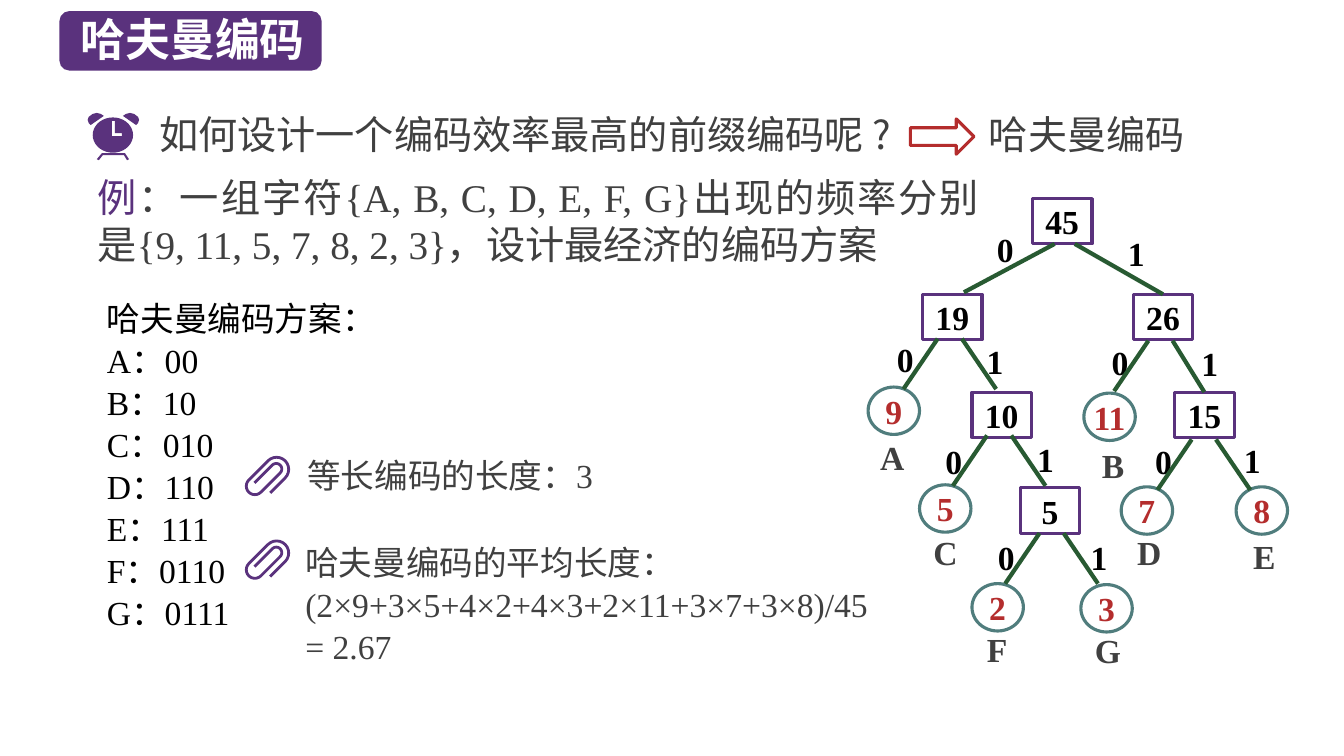
import math
from dataclasses import dataclass

import lxml.etree
import pptx
import pptx.dml.color
import pptx.enum.shapes
import pptx.enum.text
import pptx.oxml.ns
import pptx.util
from pptx.util import Inches

RGBColor = pptx.dml.color.RGBColor
PURPLE = RGBColor(0x5A, 0x32, 0x7D)
RED = RGBColor(0xB4, 0x2D, 0x2D)
TEAL = RGBColor(0x50, 0x7D, 0x7D)
GREEN = RGBColor(0x28, 0x5A, 0x32)
GREY = RGBColor(0x40, 0x40, 0x40)
BLACK = RGBColor(0, 0, 0)
WHITE = RGBColor(0xFF, 0xFF, 0xFF)
SANS, SERIF = "Noto Sans CJK SC", "Times New Roman"
Shapes = pptx.enum.shapes.MSO_SHAPE
Align = pptx.enum.text.PP_ALIGN
Anchor = pptx.enum.text.MSO_ANCHOR
qn = pptx.oxml.ns.qn
Point = tuple[float, float]


@dataclass
class Branch:
    """An inner node; fork is where its 0 edge starts, relative to the box."""
    weight: str
    at: Point
    fork: Point
    zero_at: Point
    one_at: Point
    gap: float = 0.24
    reach: Point = (0.34, 0.5)
    joined_child: str = ""


@dataclass
class Leaf:
    symbol: str
    weight: str
    at: Point
    symbol_at: Point


BRANCHES = [
    Branch("45", (10.24, 1.97), (0.22, 0.45), (9.7, 2.19), (11, 2.23), 0.2, (0.9, 0.48), "26"),
    Branch("19", (9.15, 2.92), (0.15, 0.44), (8.71, 3.28), (9.6, 3.3)),
    Branch("26", (11.24, 2.92), (0.15, 0.46), (10.84, 3.31), (11.73, 3.32), joined_child="15"),
    Branch("10", (9.64, 3.89), (0.15, 0.43), (9.19, 4.29), (10.1, 4.27)),
    Branch("15", (11.65, 3.89), (0.17, 0.47), (11.27, 4.29), (12.15, 4.28)),
    Branch("5", (10.12, 4.84), (0.19, 0.45), (9.71, 5.25), (10.63, 5.25)),
]
LEAVES = [
    Leaf("A", "9", (8.61, 3.84), (8.63, 4.29)),
    Leaf("B", "11", (10.75, 3.9), (10.83, 4.36)),
    Leaf("C", "5", (9.12, 4.81), (9.16, 5.23)),
    Leaf("D", "7", (11.12, 4.83), (11.18, 5.23)),
    Leaf("E", "8", (12.26, 4.83), (12.33, 5.27)),
    Leaf("F", "2", (9.64, 5.79), (9.69, 6.19)),
    Leaf("G", "3", (10.72, 5.8), (10.76, 6.2)),
]
CODES = {"A": "00", "B": "10", "C": "010", "D": "110", "E": "111", "F": "0110", "G": "0111"}


def write(shape, lines: list[str], size: float, face: str, color: RGBColor, bold: bool = False,
          align=Align.LEFT, leading: float | None = None, wrap: bool = True, anchor=Anchor.TOP) -> None:
    frame = shape.text_frame
    frame.text = "\n".join(lines)
    frame.word_wrap = wrap
    frame.auto_size = pptx.enum.text.MSO_AUTO_SIZE.NONE
    frame.vertical_anchor = anchor
    for paragraph in frame.paragraphs:
        paragraph.alignment = align
        paragraph.space_before = pptx.util.Pt(0)
        if leading:
            paragraph.line_spacing = pptx.util.Pt(leading)
        properties = paragraph._p.get_or_add_pPr()
        properties.set("marL", "0")
        properties.set("indent", "0")
        lxml.etree.SubElement(properties, qn("a:buNone"))
        font = paragraph.font
        font.size, font.name, font.bold = pptx.util.Pt(size), face, bold
        font.color.rgb = color
        east_asian = lxml.etree.SubElement(properties.find(qn("a:defRPr")), qn("a:ea"))
        east_asian.set("typeface", SANS)


def place(shape, left: float, top: float, width: float, height: float) -> None:
    shape.left, shape.top = Inches(left), Inches(top)
    shape.width, shape.height = Inches(width), Inches(height)


def add_text(slide, box: tuple[float, ...], *args, **kwargs):
    caption = slide.shapes.add_textbox(*map(Inches, box))
    write(caption, *args, **kwargs)
    return caption


def add_preset(slide, kind, at: Point, size: Point, line: RGBColor | None = None):
    shape = slide.shapes.add_shape(kind, *map(Inches, at + size))
    shape.shadow.inherit = False
    shape.fill.background()
    if line is None:
        shape.line.fill.background()
    else:
        shape.line.color.rgb = line
        shape.line.width = pptx.util.Pt(2.25)
    return shape


def add_node(slide, kind, at: Point, size: Point, label: str, color: RGBColor,
             line: RGBColor | None = None):
    node = add_preset(slide, kind, at, size, line)
    write(node, [label], 24, SERIF, color, bold=True, align=Align.CENTER, wrap=False,
          anchor=Anchor.MIDDLE)
    return node


def add_edge(slide, start: Point, end: Point):
    edge = slide.shapes.add_connector(pptx.enum.shapes.MSO_CONNECTOR.STRAIGHT,
                                      *map(Inches, start + end))
    edge.line.color.rgb = GREEN
    edge.line.width = pptx.util.Pt(3)
    lxml.etree.SubElement(edge._element.spPr, qn("a:effectLst"))
    return edge


def add_outline(slide, *contours: list[Point]) -> None:
    scaled = [[(Inches(x), Inches(y)) for x, y in contour] for contour in contours]
    builder = slide.shapes.build_freeform(*scaled[0][0], scale=1.0)
    builder.add_line_segments(scaled[0][1:], close=True)
    for hole in scaled[1:]:
        builder.move_to(*hole[0])
        builder.add_line_segments(hole[1:], close=True)
    outline = builder.convert_to_shape()
    outline.shadow.inherit = False
    outline.fill.solid()
    outline.fill.fore_color.rgb = PURPLE
    outline.line.fill.background()


def add_clock(slide) -> None:
    middle = 1.12
    add_outline(slide, [(1.28, 1.58), (1.24, 1.52), (1.01, 1.52), (0.96, 1.58), (0.98, 1.59),
                        (1.02, 1.54), (1.23, 1.54), (1.26, 1.59)])
    ear = [(1.03, 1.15), (1, 1.13), (0.96, 1.12), (0.92, 1.13), (0.88, 1.16), (0.87, 1.19),
           (0.88, 1.22), (0.9, 1.24)]
    add_outline(slide, ear)
    add_outline(slide, [(2 * middle + 0.01 - x, y) for x, y in ear])
    turns = [math.radians(angle) for angle in range(0, 360, 10)]
    face = [(middle + 0.2 * math.cos(t), 1.34 + 0.175 * math.sin(t)) for t in turns]
    hands = [(1.11, 1.2), (1.11, 1.35), (1.21, 1.35), (1.21, 1.32), (1.14, 1.32), (1.14, 1.2)]
    add_outline(slide, face, hands)


def add_paperclip(slide, x: float, y: float) -> None:
    """Bend a wire of even thickness: straight lengths joined by left half turns."""
    half_wire, heading = 0.014, math.pi / 4
    left_side, right_side = [], []

    def mark() -> None:
        across = (-math.sin(heading) * half_wire, -math.cos(heading) * half_wire)
        left_side.append((x + across[0], y + across[1]))
        right_side.append((x - across[0], y - across[1]))

    for length, radius in [(0.21, 0.12), (0.27, 0.085), (0.27, 0.055), (0.25, 0)]:
        mark()
        x, y = x + length * math.cos(heading), y - length * math.sin(heading)
        mark()
        if radius:
            center = (x - radius * math.sin(heading), y - radius * math.cos(heading))
            for _ in range(12):
                heading += math.pi / 12
                x = center[0] + radius * math.sin(heading)
                y = center[1] + radius * math.cos(heading)
                mark()
    add_outline(slide, left_side + right_side[::-1])


def add_tree(slide) -> None:
    for branch in BRANCHES:
        for bit, at in (("0", branch.zero_at), ("1", branch.one_at)):
            add_node(slide, Shapes.OVAL, at, (0.54, 0.56), bit, BLACK)
    for leaf in LEAVES:
        add_node(slide, Shapes.OVAL, leaf.at, (0.51, 0.47), leaf.weight, RED, TEAL)
        add_text(slide, leaf.symbol_at + (0.49, 0.5), [leaf.symbol], 24, SERIF, GREY, bold=True)
    boxes = {b.weight: add_node(slide, Shapes.RECTANGLE, b.at, (0.59, 0.45), b.weight, BLACK, PURPLE)
             for b in BRANCHES}
    for branch in BRANCHES:
        x, y = branch.at[0] + branch.fork[0], branch.at[1] + branch.fork[1]
        run, drop = branch.reach
        add_edge(slide, (x, y), (x - run, y + drop))
        one = add_edge(slide, (x + branch.gap, y), (x + branch.gap + run, y + drop))
        if branch.joined_child:
            one.end_connect(boxes[branch.joined_child], 0)


def main() -> None:
    deck = pptx.Presentation()
    deck.slide_width, deck.slide_height = Inches(13.33), Inches(7.5)
    slide = deck.slides.add_slide(deck.slide_layouts[1])
    title, scheme = slide.placeholders

    banner = add_preset(slide, Shapes.ROUNDED_RECTANGLE, (0.59, 0.11), (2.6, 0.59))
    banner.fill.solid()
    banner.fill.fore_color.rgb = PURPLE
    title._element.addprevious(banner._element)
    place(title, 0.7, 0.07, 2.57, 0.64)
    write(title, ["哈夫曼编码"], 32, SANS, WHITE, bold=True)

    add_text(slide, (1.48, 1.05, 7.42, 0.57), ["如何设计一个编码效率最高的前缀编码呢 ?"], 28, SANS, GREY)
    add_clock(slide)
    add_preset(slide, Shapes.RIGHT_ARROW, (9.03, 1.18), (0.63, 0.35), RED)
    add_text(slide, (9.71, 1.05, 2.3, 0.57), ["哈夫曼编码"], 28, SANS, GREY)
    example = add_text(slide, (0.87, 1.67, 8.94, 1.03), ["例"], 28, SERIF, GREY, align=Align.JUSTIFY)
    opening = example.text_frame.paragraphs[0]
    opening.runs[0].font.color.rgb = PURPLE
    opening.add_run().text = ("：一组字符{A, B, C, D, E, F, G}出现的频率分别"
                              "是{9, 11, 5, 7, 8, 2, 3}，设计最经济的编码方案")

    add_tree(slide)
    place(scheme, 0.96, 2.89, 3.05, 3.47)
    write(scheme, ["哈夫曼编码方案："] + [f"{symbol}：{code}" for symbol, code in CODES.items()],
          24, SERIF, BLACK, align=Align.JUSTIFY, leading=30)
    add_text(slide, (2.95, 4.45, 5.24, 0.52), ["等长编码的长度：3"], 24, SERIF, GREY, leading=30)
    add_text(slide, (2.93, 5.31, 6.27, 1.36),
             ["哈夫曼编码的平均长度：", "(2×9+3×5+4×2+4×3+2×11+3×7+3×8)/45", "= 2.67"],
             24, SERIF, GREY, leading=30)
    for y in (4.89, 5.72):
        add_paperclip(slide, 2.68, y)
    deck.save("out.pptx")


if __name__ == "__main__":
    main()
